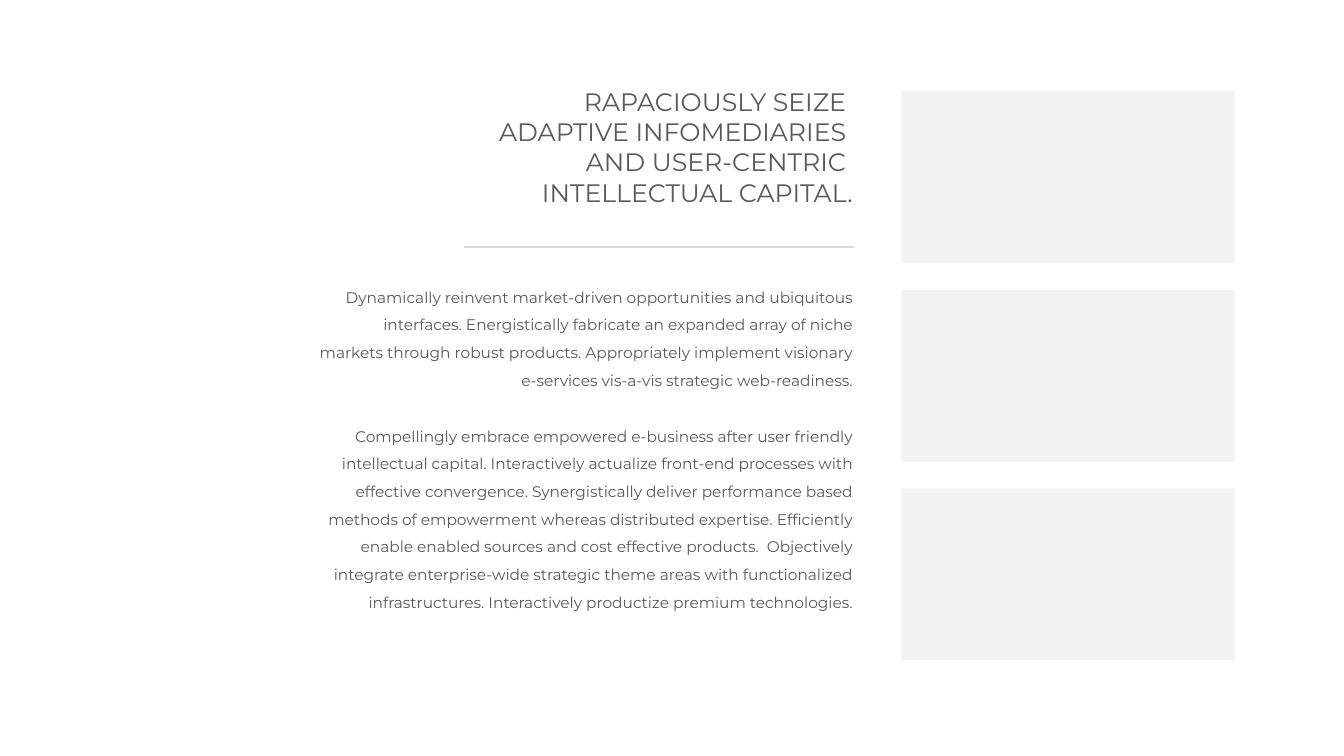
from dataclasses import dataclass

from lxml import etree
from pptx import Presentation
from pptx.dml.color import RGBColor
from pptx.enum import shapes, text
from pptx.oxml import ns
from pptx.util import Inches, Pt


@dataclass(frozen=True)
class Theme:
    font: str = "Montserrat"
    ink: RGBColor = RGBColor(0x59, 0x59, 0x59)
    rule: RGBColor = RGBColor(0xD9, 0xD9, 0xD9)
    panel: RGBColor = RGBColor(0xF2, 0xF2, 0xF2)
    title_size: int = 36
    body_size: int = 22
    rule_width: int = 3


THEME = Theme()

# The space after a title line sets it in slightly from the right edge
TITLE = [
    "RAPACIOUSLY SEIZE ",
    "ADAPTIVE INFOMEDIARIES ",
    "AND USER-CENTRIC ",
    "INTELLECTUAL CAPITAL.",
]
BODY = [
    "Dynamically reinvent market-driven opportunities and ubiquitous interfaces. "
    "Energistically fabricate an expanded array of niche markets through robust "
    "products. Appropriately implement visionary e-services vis-a-vis strategic "
    "web-readiness.",
    "Compellingly embrace empowered e-business after user friendly intellectual "
    "capital. Interactively actualize front-end processes with effective "
    "convergence. Synergistically deliver performance based methods of empowerment "
    "whereas distributed expertise. Efficiently enable enabled sources and cost "
    "effective products.  Objectively integrate enterprise-wide strategic theme "
    "areas with functionalized infrastructures. Interactively productize premium "
    "technologies.",
]


def add_text(s, box, lines, size, wrap=True, line_spacing=None, gap=0):
    """Right-aligned paragraphs, with a gap in points between them."""
    tf = s.shapes.add_textbox(*map(Inches, box)).text_frame
    tf.word_wrap = wrap
    tf.auto_size = text.MSO_AUTO_SIZE.SHAPE_TO_FIT_TEXT
    for i, line in enumerate(lines):
        p = tf.add_paragraph() if i else tf.paragraphs[0]
        p.text = line
        p.alignment = text.PP_ALIGN.RIGHT
        p.font.name = THEME.font
        p.font.size = Pt(size)
        p.font.color.rgb = THEME.ink
        if line_spacing:
            p.line_spacing = line_spacing
        if gap and i:
            p.space_before = Pt(gap)


def add_rule(s, x1, x2, y):
    line = s.shapes.add_connector(
        shapes.MSO_CONNECTOR.STRAIGHT, Inches(x1), Inches(y), Inches(x2), Inches(y)
    )
    line.line.color.rgb = THEME.rule
    line.line.width = Pt(THEME.rule_width)
    etree.SubElement(line._element.spPr, ns.qn("a:effectLst"))


def add_article(s, left, top, width):
    """Title, rule and body, all ending at the right edge of the column."""
    right = left + width
    add_text(s, (right - 7.26, top, 7.26, 2.52), TITLE, THEME.title_size, wrap=False)
    add_rule(s, right - 7.82, right - 0.08, top + 3.24)
    add_text(s, (left, top + 3.82, width, 6.77), BODY, THEME.body_size,
             line_spacing=1.5, gap=40)


def add_panels(s, left, top, width, height, count=3, gap=0.53):
    """Equal panels stacked in a column."""
    panel_height = (height - gap * (count - 1)) / count
    for i in range(count):
        y = top + i * (panel_height + gap)
        sp = s.shapes.add_shape(
            shapes.MSO_SHAPE.RECTANGLE,
            Inches(left), Inches(y), Inches(width), Inches(panel_height),
        )
        sp.shadow.inherit = False
        sp.fill.solid()
        sp.fill.fore_color.rgb = THEME.panel
        sp.line.fill.background()


def main():
    prs = Presentation()
    prs.slide_width, prs.slide_height = Inches(26.67), Inches(15)
    s = prs.slides.add_slide(prs.slide_layouts[6])
    add_article(s, 6.19, 1.66, 10.83)
    add_panels(s, 17.89, 1.81, 6.61, 11.29)
    prs.save("out.pptx")


if __name__ == "__main__":
    main()
